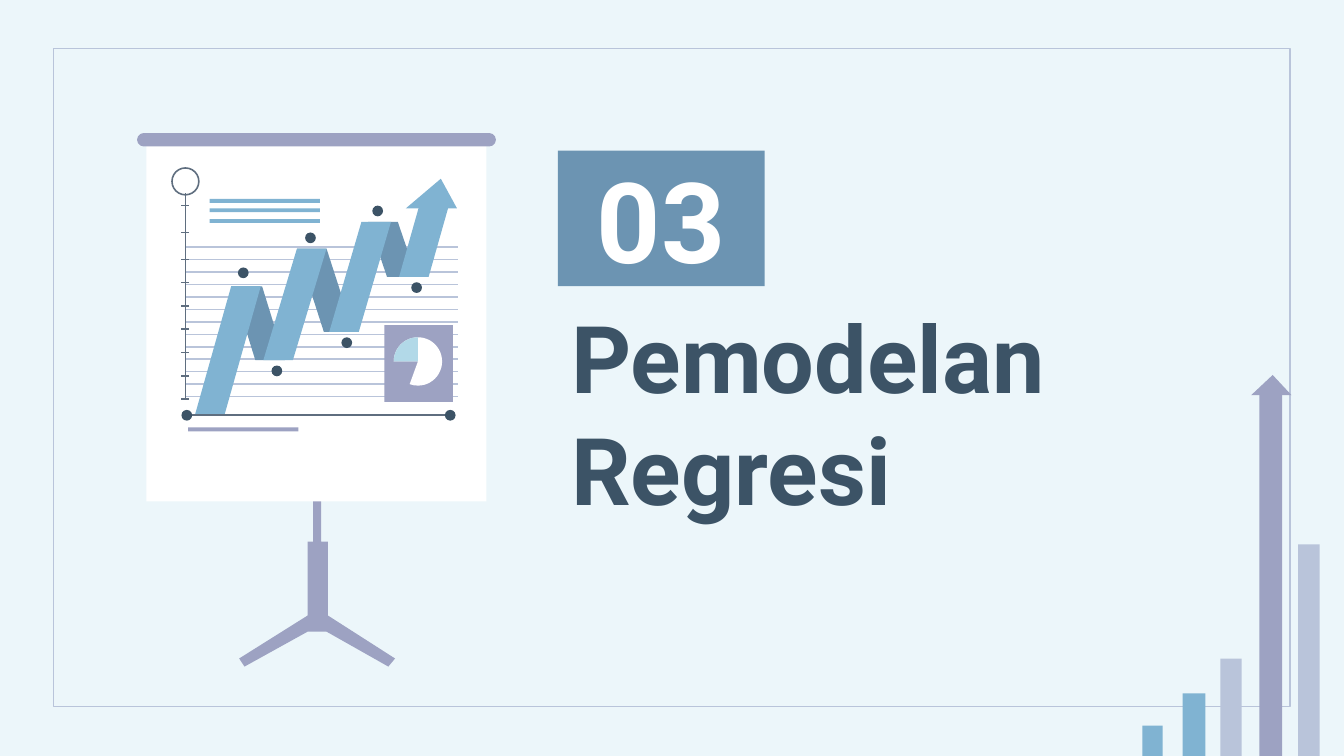
"""Build the section slide "03 Pemodelan Regresi" with a flip chart and rising bars."""
from lxml import etree
from pptx import Presentation
from pptx import util as u
from pptx.dml.color import RGBColor
from pptx.enum import shapes, text
from pptx.oxml.ns import qn

PALE = RGBColor(0xEC, 0xF6, 0xFA)
WHITE = RGBColor(0xFF, 0xFF, 0xFF)
MIST = RGBColor(0xB9, 0xC4, 0xDA)
LILAC = RGBColor(0x9D, 0xA2, 0xC2)
SKY = RGBColor(0x80, 0xB3, 0xD2)
STEEL = RGBColor(0x6C, 0x94, 0xB2)
ICE = RGBColor(0xB2, 0xD9, 0xE8)
NAVY = RGBColor(0x3C, 0x53, 0x66)
SLATE = RGBColor(0x5F, 0x6E, 0x7F)

KIND = shapes.MSO_SHAPE
INCH = 2.54
WIDE = 10
HIGH = WIDE * 9 / 16

TEXTS = [
    ("03", (4.15, 1.12, 1.54, 1.01), 60, WHITE, text.PP_ALIGN.CENTER, text.MSO_ANCHOR.MIDDLE),
    ("Pemodelan Regresi", (4.15, 2.13, 4.36, 1.93), 50, NAVY, text.PP_ALIGN.LEFT, text.MSO_ANCHOR.TOP),
]
BARS = [(8.5, 5.4, 0.15, SKY), (9.66, 4.05, 0.16, MIST), (9.08, 4.9, 0.16, MIST),
        (8.8, 5.16, 0.17, SKY), (9.37, 2.9, 0.17, LILAC)]
TIP = [(9.47, 2.79), (9.31, 2.94), (9.61, 2.94)]
STAND = [(2.33, 3.38), (2.33, 4.03), (2.29, 4.03), (2.29, 4.58), (1.78, 4.9), (1.82, 4.96),
         (2.29, 4.7), (2.43, 4.7), (2.89, 4.96), (2.94, 4.9), (2.44, 4.58), (2.44, 4.03),
         (2.39, 4.03), (2.39, 3.38)]
FOLDS = [(1.73, 2.13, 1.9, 2.68, STEEL), (2.21, 1.85, 2.41, 2.47, STEEL),
         (2.74, 1.65, 2.88, 2.06, STEEL), (1.72, 2.13, 1.45, 3.09, SKY),
         (2.21, 1.85, 1.96, 2.68, SKY), (2.69, 1.65, 2.45, 2.47, SKY),
         (3.12, 1.53, 2.97, 2.06, SKY)]
FOLD = 0.22
HEAD = [(3.28, 1.33), (3.02, 1.55), (3.4, 1.55)]
RULES = [1.84 + 1.11 * i / 12 for i in range(13)]
TICKS = [1.53, 1.73] + [1.93 + 1.04 * i / 6 for i in range(7)]
NOTES = [(1.56, 1.48, SKY), (1.56, 1.55, SKY), (1.56, 1.63, SKY), (1.4, 3.18, LILAC)]
DOTS = [(1.39, 3.09), (3.35, 3.09), (1.81, 2.03), (2.06, 2.76), (2.31, 1.77),
        (2.58, 2.55), (2.81, 1.57), (3.1, 2.14)]
DOT = 0.08
PIES = [(180, 110, WHITE), (180, 270, ICE)]


def cm(*vals):
    return [u.Cm(v * INCH) for v in vals]


def put(obj, **vals):
    for name, val in vals.items():
        setattr(obj, name, val)


def paint(shape, fill=None, line=None, pt=0.75):
    shape.shadow.inherit = False
    if fill is None:
        shape.fill.background()
    else:
        shape.fill.solid()
        shape.fill.fore_color.rgb = fill
    if line is None:
        shape.line.fill.background()
    else:
        shape.line.color.rgb = line
        shape.line.width = u.Pt(pt)
    return shape


def draw(kind, box, *looks):
    return paint(slide.shapes.add_shape(kind, *cm(*box)), *looks)


def poly(pts, fill):
    pts = [cm(*p) for p in pts]
    path = slide.shapes.build_freeform(*pts[0], scale=1.0)
    path.add_line_segments(pts[1:], close=True)
    return paint(path.convert_to_shape(), fill)


def rule(x1, y1, x2, y2, color):
    line = slide.shapes.add_connector(shapes.MSO_CONNECTOR.STRAIGHT, *cm(x1, y1, x2, y2))
    put(line.line, width=u.Pt(0.84))
    line.line.color.rgb = color
    etree.SubElement(line._element.spPr, qn("a:effectLst"))


def write(hold, words, box, size, color, align, anchor):
    put(hold, **dict(zip(("left", "top", "width", "height"), cm(*box))))
    frame = hold.text_frame
    pad = cm(0.1)[0]
    put(frame, text=words, word_wrap=True, auto_size=text.MSO_AUTO_SIZE.NONE,
        vertical_anchor=anchor, margin_left=pad, margin_right=pad,
        margin_top=pad, margin_bottom=pad)
    para = frame.paragraphs[0]
    put(para, alignment=align, space_before=u.Pt(0), line_spacing=1.0)
    font = para.runs[0].font
    put(font, name="Roboto", size=u.Pt(size), bold=True)
    font.color.rgb = color


deck = Presentation()
deck.slide_width, deck.slide_height = cm(WIDE, HIGH)
slide = deck.slides.add_slide(deck.slide_layouts[2])
slide.background.fill.solid()
slide.background.fill.fore_color.rgb = PALE

for hold, item in zip(list(slide.placeholders)[:2], TEXTS):
    write(hold, *item)
title = slide.shapes.title
title.fill.solid()
title.fill.fore_color.rgb = STEEL

draw(KIND.RECTANGLE, (0.4, 0.36, 9.2, 4.9), None, MIST)
for x, y, w, color in BARS:
    draw(KIND.RECTANGLE, (x, y, w, HIGH - y), color)
poly(TIP, LILAC)

poly(STAND, LILAC)
draw(KIND.RECTANGLE, (1.09, 1.04, 2.53, 2.69), WHITE)
draw(KIND.ROUNDED_RECTANGLE, (1.02, 0.99, 2.67, 0.1), LILAC).adjustments[0] = 0.5

for y in RULES:
    rule(1.38, y, 3.41, y, MIST)
for x1, y1, x2, y2, color in FOLDS:
    poly([(x1, y1), (x2, y2), (x2 + FOLD, y2), (x1 + FOLD, y1)], color)
poly(HEAD, SKY)

rule(1.38, 1.44, 1.38, 2.97, SLATE)
draw(KIND.OVAL, (1.28, 1.25, 0.2, 0.2), None, SLATE, 0.84)
for y in TICKS:
    rule(1.35, y, 1.41, y, SLATE)
rule(1.38, 3.09, 3.32, 3.09, SLATE)

for x, y, color in NOTES:
    draw(KIND.RECTANGLE, (x, y, 0.82, 0.03), color)
draw(KIND.RECTANGLE, (2.86, 2.42, 0.51, 0.57), LILAC)
for x, y in DOTS:
    draw(KIND.OVAL, (x - DOT / 2, y - DOT / 2, DOT, DOT), NAVY)
for start, end, color in PIES:
    pie = draw(KIND.PIE, (2.93, 2.51, 0.36, 0.36), color)
    pie.adjustments[0], pie.adjustments[1] = start * 0.6, end * 0.6

deck.save("out.pptx")
